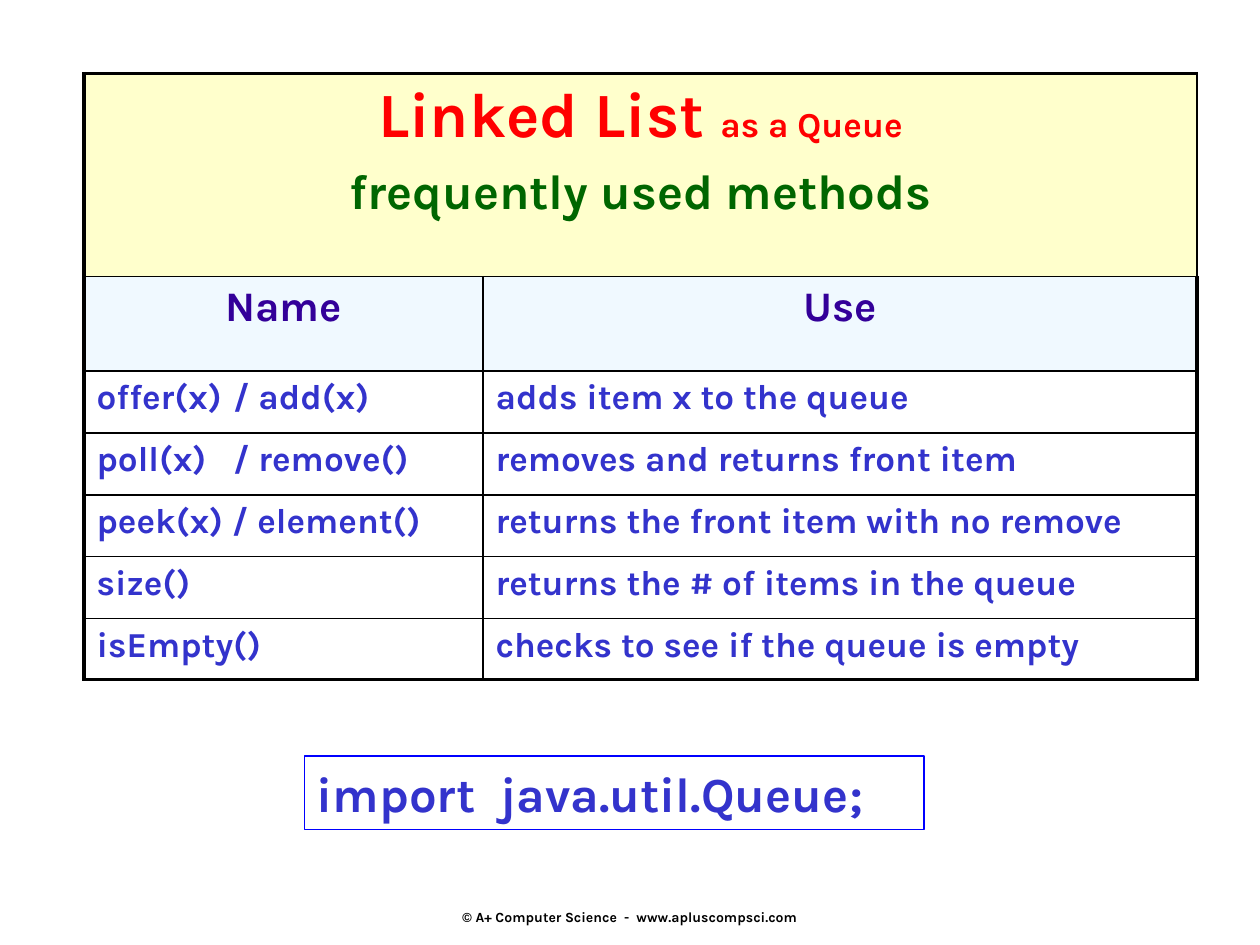
from lxml.etree import SubElement
from pptx import Presentation
from pptx.dml.color import RGBColor
from pptx.enum.shapes import MSO_SHAPE as Shape
from pptx.enum.text import MSO_ANCHOR as Anchor, PP_ALIGN as Align
from pptx.oxml.ns import qn
from pptx.util import Pt

FONT = "Karla"
COLORS = {
    "border": "000000", "title": "FF0000", "subtitle": "006600",
    "heading": "330099", "body": "3333CC", "footer": "000000",
    "title_fill": "FFFFCC", "heading_fill": "F0F9FF", "import_line": "0000FF",
}
METHODS = [
    ("offer(x)\t/ add(x)", "adds item x to the queue"),
    ("poll(x)\t/ remove()", "removes and returns front item"),
    ("peek(x) / element()", "returns the front item with no remove"),
    ("size()", "returns the # of items in the queue"),
    ("isEmpty()", "checks to see if the queue is empty"),
]
COLUMN_WIDTHS = [228, 408]
ROW_HEIGHTS = [116, 54] + [35.4] * 4 + [34.7]
SLASH_TAB = 78


def rgb(name):
    return RGBColor.from_string(COLORS[name])


def write(paragraph, text, size, color, align=Align.LEFT, before=None, tab=None):
    paragraph.alignment = align
    if before is not None:
        paragraph.space_before = Pt(before)
    if tab is not None:
        tabs = SubElement(paragraph._p.get_or_add_pPr(), qn("a:tabLst"))
        SubElement(tabs, qn("a:tab"), pos=str(Pt(tab)), algn="l")
    run = paragraph.add_run()
    run.text = text
    run.font.name = FONT
    run.font.size = Pt(size)
    run.font.bold = True
    run.font.color.rgb = rgb(color)


def draw_borders(cell, widths):
    properties = cell._tc.get_or_add_tcPr()
    for side, width in zip("LRTB", widths):
        line = SubElement(properties, qn(f"a:ln{side}"), w=str(Pt(width)))
        fill = SubElement(line, qn("a:solidFill"))
        SubElement(fill, qn("a:srgbClr"), val=COLORS["border"])


def style_cells(table):
    last_row, last_column = len(ROW_HEIGHTS) - 1, len(COLUMN_WIDTHS) - 1
    row_fills = {0: "title_fill", 1: "heading_fill"}
    for r in range(last_row + 1):
        for c in range(last_column + 1):
            cell = table.cell(r, c)
            outer = (c == 0, c == last_column, r == 0, r == last_row)
            draw_borders(cell, [2.25 if edge else 1 for edge in outer])
            if r in row_fills:
                cell.fill.solid()
                cell.fill.fore_color.rgb = rgb(row_fills[r])
            else:
                cell.fill.background()


def add_methods_table(slide, left, top, width, height):
    table = slide.shapes.add_table(
        len(ROW_HEIGHTS), len(COLUMN_WIDTHS),
        Pt(left), Pt(top), Pt(width), Pt(height)).table
    table.first_row = table.horz_banding = False
    for column, column_width in zip(table.columns, COLUMN_WIDTHS):
        column.width = Pt(column_width)
    for row, row_height in zip(table.rows, ROW_HEIGHTS):
        row.height = Pt(row_height)
    style_cells(table)

    title_cell = table.cell(0, 0)
    title_cell.merge(table.cell(0, len(COLUMN_WIDTHS) - 1))
    title = title_cell.text_frame.paragraphs[0]
    write(title, "Linked List ", 36, "title", align=Align.CENTER)
    write(title, "as a Queue", 20, "title", align=Align.CENTER)
    write(title_cell.text_frame.add_paragraph(), "frequently used methods",
          28, "subtitle", align=Align.CENTER, before=6.5)

    for c, heading in enumerate(("Name", "Use")):
        write(table.cell(1, c).text_frame.paragraphs[0], heading,
              24, "heading", align=Align.CENTER)
    for r, method in enumerate(METHODS, start=2):
        for c, text in enumerate(method):
            write(table.cell(r, c).text_frame.paragraphs[0], text, 20, "body",
                  tab=SLASH_TAB if "\t" in text else None)


def add_import_box(slide, left, top, width, height):
    box = slide.shapes.add_shape(
        Shape.RECTANGLE, Pt(left), Pt(top), Pt(width), Pt(height))
    box.shadow.inherit = False
    box.fill.background()
    box.line.color.rgb = rgb("import_line")
    box.line.width = Pt(1)
    box.text_frame.vertical_anchor = Anchor.MIDDLE
    write(box.text_frame.paragraphs[0], "import  java.util.Queue;", 28, "body")


def add_footer(slide, left, top, width, height):
    frame = slide.shapes.add_textbox(
        Pt(left), Pt(top), Pt(width), Pt(height)).text_frame
    frame.word_wrap = True
    frame.vertical_anchor = Anchor.MIDDLE
    write(frame.paragraphs[0], "© A+ Computer Science  -  www.apluscompsci.com",
          8, "footer", align=Align.CENTER)


def main():
    deck = Presentation()
    deck.slide_width, deck.slide_height = Pt(720), Pt(540)
    slide = deck.slides.add_slide(deck.slide_layouts[6])
    add_footer(slide, 246, 515, 228, 18)
    add_methods_table(slide, 48, 42, sum(COLUMN_WIDTHS), sum(ROW_HEIGHTS))
    add_import_box(slide, 174, 432, 354, 42)
    deck.save("out.pptx")


if __name__ == "__main__":
    main()
